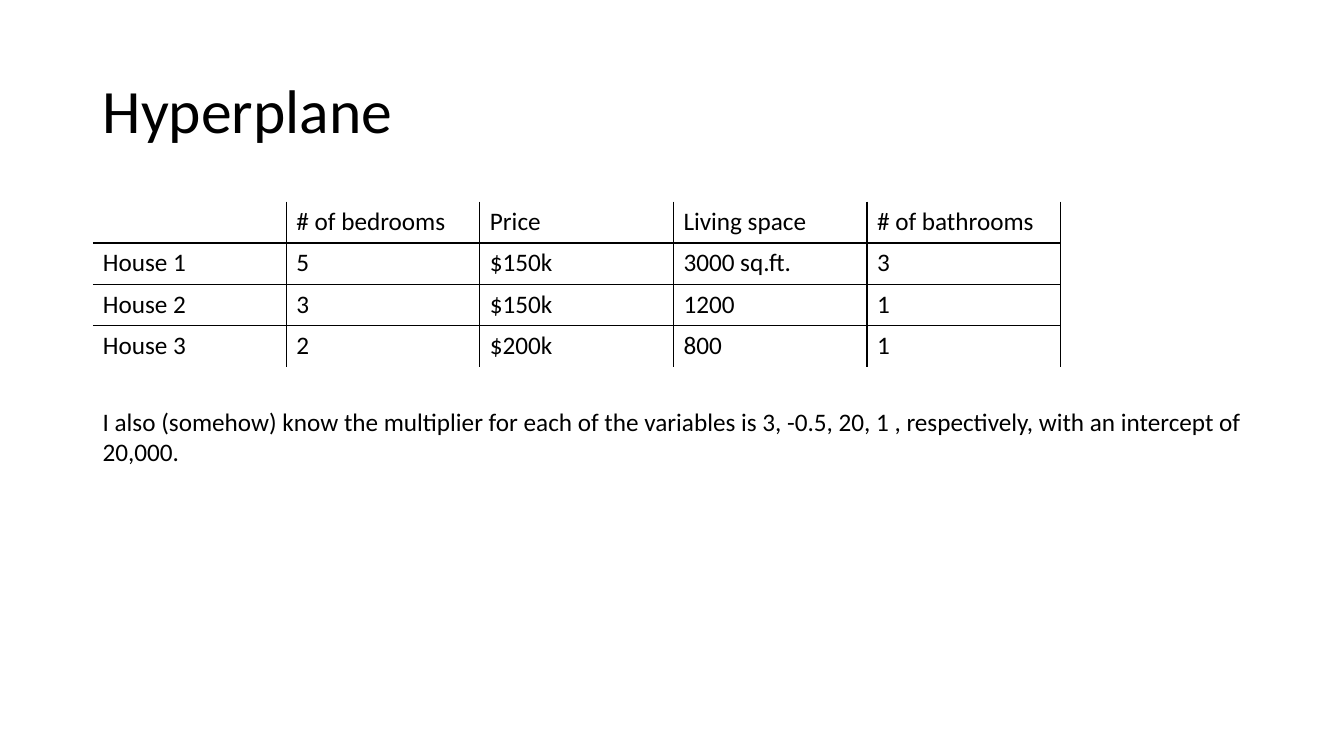
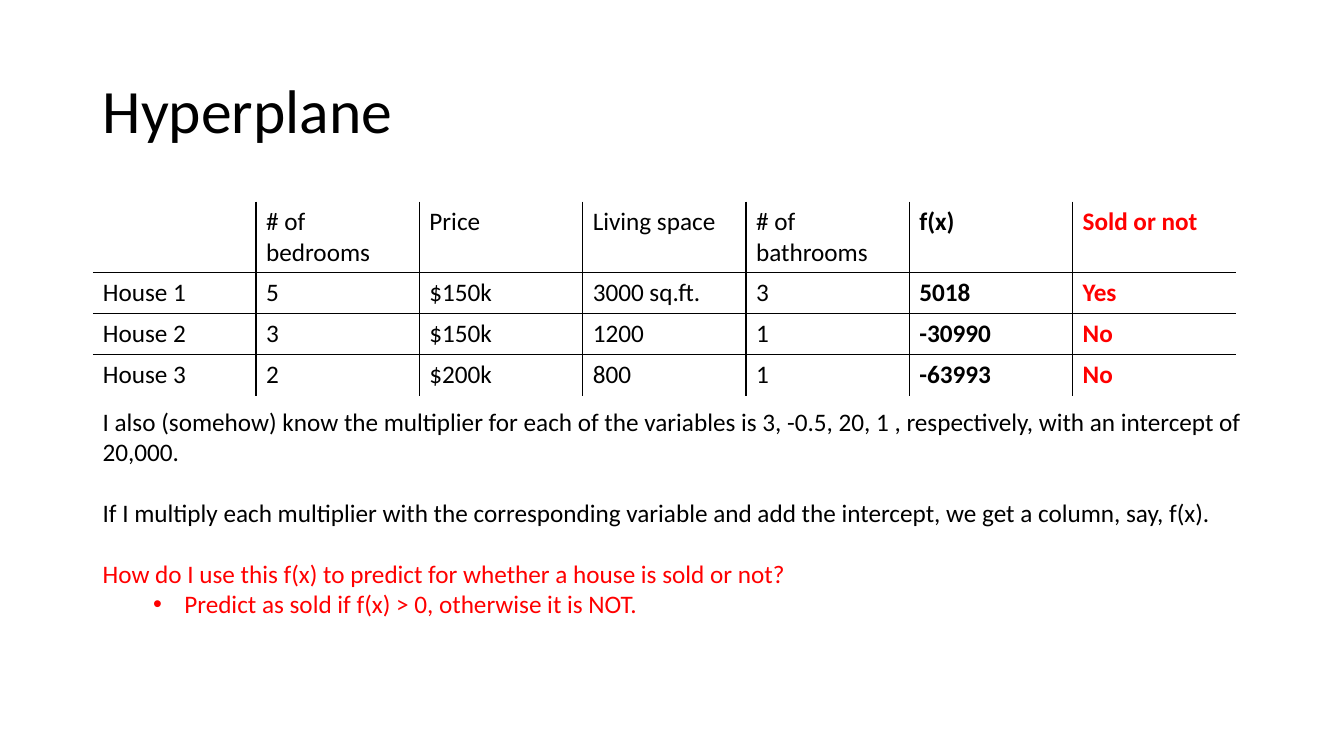
from dataclasses import dataclass

from lxml.etree import SubElement
from pptx import Presentation
from pptx.dml.color import RGBColor
from pptx.enum.text import MSO_ANCHOR
from pptx.oxml.ns import qn
from pptx.presentation import Presentation as Deck
from pptx.slide import Slide
from pptx.table import _Cell as Cell
from pptx.text.text import _Paragraph as Paragraph
from pptx.util import Inches, Pt

BLACK = RGBColor(0x00, 0x00, 0x00)
RED = RGBColor(0xFF, 0x00, 0x00)
FONT = "Calibri"
BODY_SIZE = 18
TITLE_SIZE = 44
LEFT = 0.92
CONTENT_WIDTH = 11.5
TABLE_TOP = 2.0
ROW_HEIGHT = 0.41
STATEMENTS_TOP = 3.98


@dataclass(frozen=True)
class Column:
    entries: tuple[str, ...]
    color: RGBColor = BLACK
    bold: bool = False


@dataclass(frozen=True)
class Statement:
    text: str
    color: RGBColor = BLACK
    gap_before: float = 0
    bulleted: bool = False


@dataclass(frozen=True)
class HousePage:
    columns: tuple[Column, ...]
    column_width: float
    header_height: float
    right_edge: bool
    statements: tuple[Statement, ...]
    statements_height: float


HOUSE_COLUMNS = (
    Column(("", "House 1", "House 2", "House 3")),
    Column(("# of bedrooms", "5", "3", "2")),
    Column(("Price", "$150k", "$150k", "$200k")),
    Column(("Living space", "3000 sq.ft.", "1200", "800")),
    Column(("# of bathrooms", "3", "1", "1")),
)
PREDICTION_COLUMNS = (
    Column(("f(x)", "5018", "-30990", "-63993"), bold=True),
    Column(("Sold or not", "Yes", "No", "No"), RED, bold=True),
)
MULTIPLIERS = Statement(
    "I also (somehow) know the multiplier for each of the variables is "
    "3, -0.5, 20, 1 , respectively, with an intercept of 20,000."
)
PREDICTION_STEPS = (
    Statement(
        "If I multiply each multiplier with the corresponding variable and "
        "add the intercept, we get a column, say, f(x).",
        gap_before=22,
    ),
    Statement(
        "How do I use this f(x) to predict for whether a house is sold or not?",
        RED,
        gap_before=22,
    ),
    Statement("Predict as sold if f(x) > 0, otherwise it is NOT.", RED, bulleted=True),
)
PAGES = (
    HousePage(HOUSE_COLUMNS, 1.92, ROW_HEIGHT, True, (MULTIPLIERS,), 0.71),
    HousePage(
        HOUSE_COLUMNS + PREDICTION_COLUMNS,
        1.62,
        0.7,
        False,
        (MULTIPLIERS, *PREDICTION_STEPS),
        2.22,
    ),
)


def add_run(
    paragraph: Paragraph,
    text: str,
    size: float = BODY_SIZE,
    color: RGBColor = BLACK,
    bold: bool = False,
) -> None:
    run = paragraph.add_run()
    run.text = text
    run.font.name = FONT
    run.font.size = Pt(size)
    run.font.bold = bold
    run.font.color.rgb = color


def add_title(slide: Slide, text: str) -> None:
    frame = slide.shapes.add_textbox(
        Inches(LEFT), Inches(0.4), Inches(CONTENT_WIDTH), Inches(1.45)
    ).text_frame
    frame.word_wrap = True
    frame.vertical_anchor = MSO_ANCHOR.MIDDLE
    frame.paragraphs[0].line_spacing = 0.9
    add_run(frame.paragraphs[0], text, TITLE_SIZE)


def set_borders(cell: Cell, visible: dict[str, bool]) -> None:
    properties = cell._tc.get_or_add_tcPr()
    for side, shown in visible.items():
        line = SubElement(properties, qn(f"a:{side}"), w=str(Pt(1)))
        if shown:
            fill = SubElement(line, qn("a:solidFill"))
            SubElement(fill, qn("a:srgbClr"), val=str(BLACK))
        else:
            SubElement(line, qn("a:noFill"))


def add_house_table(slide: Slide, page: HousePage) -> None:
    row_count, column_count = len(page.columns[0].entries), len(page.columns)
    heights = [page.header_height] + [ROW_HEIGHT] * (row_count - 1)
    table = slide.shapes.add_table(
        row_count,
        column_count,
        Inches(LEFT),
        Inches(TABLE_TOP),
        Inches(page.column_width * column_count),
        Inches(sum(heights)),
    ).table
    table.first_row = False
    table.horz_banding = False
    for row, height in zip(table.rows, heights):
        row.height = Inches(height)
    for x, column in enumerate(page.columns):
        table.columns[x].width = Inches(page.column_width)
        for y, entry in enumerate(column.entries):
            cell = table.cell(y, x)
            set_borders(
                cell,
                {
                    "lnL": x > 0,
                    "lnR": x < column_count - 1 or page.right_edge,
                    "lnT": y > 0,
                    "lnB": y < row_count - 1,
                },
            )
            cell.fill.background()
            if entry:
                add_run(
                    cell.text_frame.paragraphs[0],
                    entry,
                    color=column.color,
                    bold=column.bold,
                )


def add_bullet(paragraph: Paragraph) -> None:
    paragraph.level = 1
    properties = paragraph._p.get_or_add_pPr()
    properties.set("marL", str(Inches(0.81)))
    properties.set("indent", str(Inches(-0.31)))
    SubElement(properties, qn("a:buFont"), typeface="Arial")
    SubElement(properties, qn("a:buChar"), char="•")


def add_statements(slide: Slide, page: HousePage) -> None:
    frame = slide.shapes.add_textbox(
        Inches(LEFT),
        Inches(STATEMENTS_TOP),
        Inches(CONTENT_WIDTH),
        Inches(page.statements_height),
    ).text_frame
    frame.word_wrap = True
    for index, statement in enumerate(page.statements):
        paragraph = frame.add_paragraph() if index else frame.paragraphs[0]
        paragraph.space_before = Pt(statement.gap_before)
        if statement.bulleted:
            add_bullet(paragraph)
        add_run(paragraph, statement.text, color=statement.color)


def add_house_page(deck: Deck, page: HousePage) -> None:
    slide = deck.slides.add_slide(deck.slide_layouts[6])
    add_title(slide, "Hyperplane")
    add_house_table(slide, page)
    add_statements(slide, page)


def main() -> None:
    deck = Presentation()
    deck.slide_width = Inches(13.33)
    deck.slide_height = Inches(7.5)
    for page in PAGES:
        add_house_page(deck, page)
    deck.save("out.pptx")


if __name__ == "__main__":
    main()
